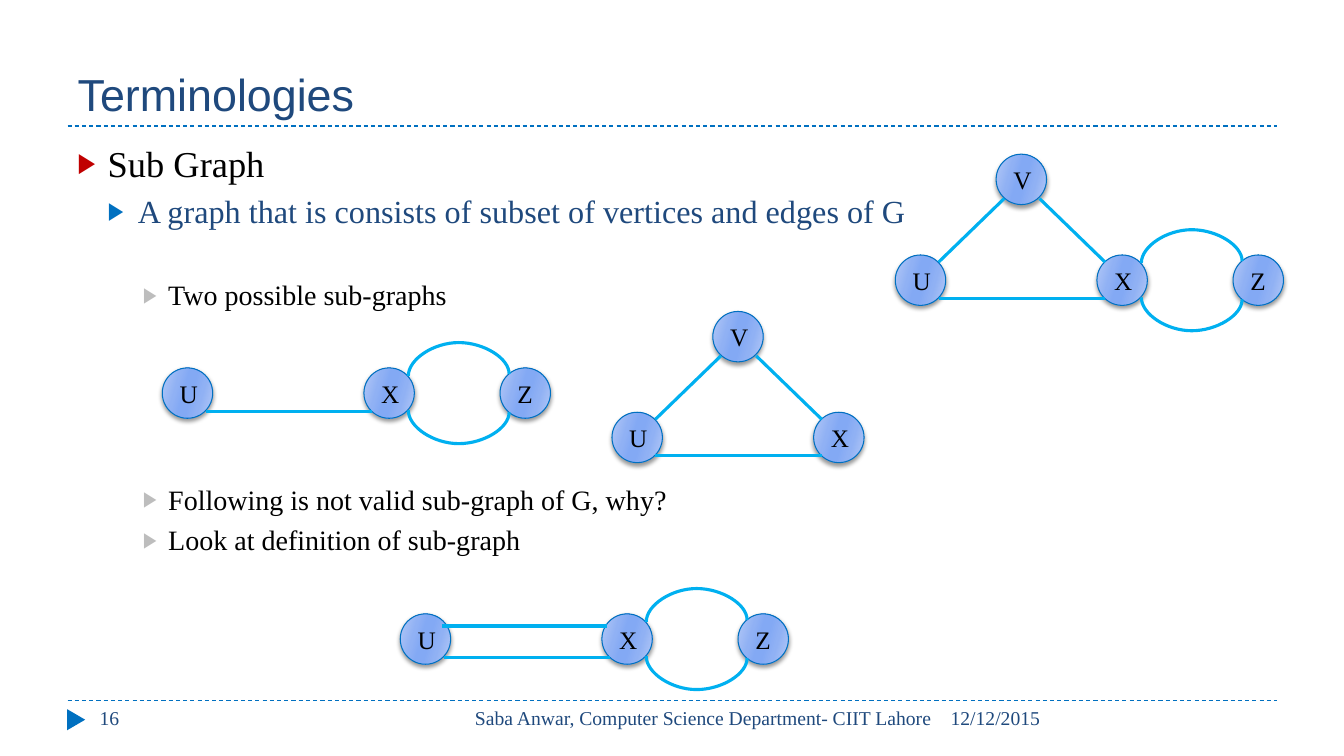
from dataclasses import dataclass

from lxml.etree import SubElement
from pptx import Presentation
from pptx.dml.color import RGBColor
from pptx.enum.dml import MSO_LINE
from pptx.enum.shapes import MSO_CONNECTOR, MSO_SHAPE
from pptx.enum.text import MSO_ANCHOR, PP_ALIGN
from pptx.oxml import parse_xml
from pptx.oxml.ns import nsdecls, qn
from pptx.util import Inches, Pt


@dataclass(frozen=True)
class Theme:
    heading_font: str = "Arial"
    body_font: str = "Times New Roman"
    navy: str = "1F497D"
    blue: str = "0070C0"
    edge: str = "00B0F0"
    red: str = "C00000"
    grey: str = "BDBDBD"
    black: str = "000000"
    node_stops: tuple = ((0, "B4C9F6"), (30, "90B1F4"), (45, "83A9F4"),
                         (55, "83A9F4"), (73, "90B1F4"), (100, "B4C9F6"))
    title_size: int = 32
    level_sizes: tuple = (26, 23, 20)
    node_size: int = 18
    footer_size: int = 14


def rgb(value):
    return RGBColor.from_string(value)


def apply_format(target, values):
    for name, value in values.items():
        setattr(target, name, value)


class GraphSlide:
    NODE = 0.5
    # Offsets from the top left corner of node U
    NODES = {"X": (2, 0), "U": (0, 0), "V": (1, -1), "Z": (3.35, 0)}
    EDGES = {"UV": (1.08, -0.56, 0.43, 0.07), "UX": (2.08, 0.43, 0.43, 0.43),
             "VX": (1.43, -0.56, 2.08, 0.07), "UX upper": (2.05, 0.12, 0.41, 0.12)}
    # Left, middle height, rotation, flips of the two edges between X and Z
    ARCS = ((2.44, 0.43, 270, ("flipH",)), (2.44, 0.07, 90, ("flipH", "flipV")))

    def __init__(self, presentation, theme):
        self.theme = theme
        self.slide = presentation.slides.add_slide(presentation.slide_layouts[5])
        self.shapes = self.slide.shapes

    def style_font(self, font, size, color, name=None):
        apply_format(font, {"size": Pt(size), "name": name or self.theme.body_font,
                            "bold": False})
        font.color.rgb = rgb(color)

    def title(self, text, left, top, width, height):
        heading = self.shapes.title
        apply_format(heading, {"left": Inches(left), "top": Inches(top),
                               "width": Inches(width), "height": Inches(height)})
        frame = heading.text_frame
        frame.text = text
        apply_format(frame, {"vertical_anchor": MSO_ANCHOR.BOTTOM, "word_wrap": True})
        line = frame.paragraphs[0]
        line.alignment = PP_ALIGN.LEFT
        self.style_font(line.font, self.theme.title_size, self.theme.navy,
                        self.theme.heading_font)

    def text_frame(self, left, top, width, height):
        frame = self.shapes.add_textbox(*map(Inches, (left, top, width, height))).text_frame
        frame.word_wrap = True
        return frame

    def footer(self, text, left, width, alignment=PP_ALIGN.LEFT):
        line = self.text_frame(left, 6.95, width, 0.4).paragraphs[0]
        line.text = text
        line.alignment = alignment
        self.style_font(line.font, self.theme.footer_size, self.theme.navy)

    def outline(self, items, left, top, width, height):
        theme = self.theme
        styles = ((0.3, 0.3, theme.red, theme.black), (0.6, 0.3, theme.blue, theme.navy),
                  (0.9, 0.25, theme.grey, theme.black))
        frame = self.text_frame(left, top, width, height)
        for index, (level, space, text) in enumerate(items):
            indent, hanging, bullet, color = styles[level]
            item = frame.add_paragraph() if index else frame.paragraphs[0]
            item.text = text
            apply_format(item, {"level": level, "space_before": Pt(space)})
            properties = item._p.get_or_add_pPr()
            properties.set("marL", str(Inches(indent)))
            properties.set("indent", str(-Inches(hanging)))
            bullet_color = SubElement(properties, qn("a:buClr"))
            SubElement(bullet_color, qn("a:srgbClr")).set("val", bullet)
            for tag, name, value in (("a:buSzPct", "val", "76000"),
                                     ("a:buFont", "typeface", theme.heading_font),
                                     ("a:buChar", "char", "▶")):
                SubElement(properties, qn(tag)).set(name, value)
            self.style_font(item.font, theme.level_sizes[level], color)

    def line(self, start, end, color, width, kind=MSO_CONNECTOR.STRAIGHT, dash=None):
        connector = self.shapes.add_connector(kind, *map(Inches, start + end))
        connector.line.color.rgb = rgb(color)
        apply_format(connector.line, {"width": Pt(width), "dash_style": dash})
        SubElement(connector._element.spPr, qn("a:effectLst"))
        return connector

    def rule(self, height):
        self.line((0.67, height), (12.67, height), self.theme.blue, 0.75, dash=MSO_LINE.DASH)

    def page_marker(self):
        marker = self.shapes.add_shape(MSO_SHAPE.ISOSCELES_TRIANGLE,
                                       *map(Inches, (0.65, 7.05, 0.21, 0.18)))
        marker.rotation = 90
        marker.shadow.inherit = False
        marker.fill.solid()
        marker.fill.fore_color.rgb = rgb(self.theme.blue)
        marker.line.fill.background()

    def node(self, label, left, top):
        theme = self.theme
        vertex = self.shapes.add_shape(MSO_SHAPE.OVAL, *map(
            Inches, (left, top, self.NODE, self.NODE)))
        vertex.line.color.rgb = rgb(theme.blue)
        vertex.line.width = Pt(0.75)
        stops = "".join(f'<a:gs pos="{place * 1000}"><a:srgbClr val="{color}"/></a:gs>'
                        for place, color in theme.node_stops)
        properties = vertex._element.spPr
        properties.find(qn("a:prstGeom")).addnext(parse_xml(
            f'<a:gradFill {nsdecls("a")} rotWithShape="1"><a:gsLst>{stops}</a:gsLst>'
            '<a:lin ang="960000" scaled="0"/></a:gradFill>'))
        properties.append(parse_xml(
            f'<a:effectLst {nsdecls("a")}><a:outerShdw blurRad="{Pt(3)}" dist="{Pt(2)}" '
            f'dir="5400000" rotWithShape="0"><a:srgbClr val="{theme.black}">'
            '<a:alpha val="40000"/></a:srgbClr></a:outerShdw></a:effectLst>'))
        frame = vertex.text_frame
        apply_format(frame, {"word_wrap": False, "vertical_anchor": MSO_ANCHOR.MIDDLE})
        frame.text = label
        frame.paragraphs[0].alignment = PP_ALIGN.LEFT
        self.style_font(frame.paragraphs[0].font, theme.node_size, theme.black)

    def arc(self, left, middle, rotation, flips):
        span, rise, bulge = 1, 0.02, 0.33
        x, y = left + (span - rise) / 2, middle - span / 2
        curve = self.line((x, y), (x + rise, y + span), self.theme.edge, 2.25,
                          MSO_CONNECTOR.CURVE)
        properties = curve._element.spPr
        frame = properties.find(qn("a:xfrm"))
        frame.set("rot", str(rotation * 60000))
        for flip in flips:
            frame.set(flip, "1")
        guide = SubElement(properties.find(qn("a:prstGeom")).find(qn("a:avLst")), qn("a:gd"))
        guide.set("name", "adj1")
        guide.set("fmla", f"val {round(bulge / rise * 100000)}")

    def graph(self, left, top, vertices, edges):
        for label, (dx, dy) in self.NODES.items():
            if label in vertices:
                self.node(label, left + dx, top + dy)
        for edge in edges:
            x1, y1, x2, y2 = self.EDGES[edge]
            self.line((left + x1, top + y1), (left + x2, top + y2), self.theme.edge, 2.25)
        if "Z" in vertices:
            for dx, dy, rotation, flips in self.ARCS:
                self.arc(left + dx, top + dy, rotation, flips)


def main():
    presentation = Presentation()
    apply_format(presentation, {"slide_width": Inches(13.33), "slide_height": Inches(7.5)})
    page = GraphSlide(presentation, Theme())

    # Frame, title and footer
    for height in (6.95, 1.25):
        page.rule(height)
    page.page_marker()
    page.title("Terminologies", 0.67, 0.17, 12, 1.08)
    page.footer("12/12/2015", 9.33, 3.34)
    page.footer("Saba Anwar, Computer Science Department- CIIT Lahore", 4.23, 5.11,
                PP_ALIGN.RIGHT)
    page.footer("16", 0.89, 2.89)

    # Definition and questions: level, space before, text
    page.outline(((0, 0, "Sub Graph"),
                  (1, 5, "A graph that is consists of subset of vertices and edges of G"),
                  (2, 34, "Two possible sub-graphs"),
                  (2, 122, "Following is not valid sub-graph of G, why?"),
                  (2, 5, "Look at definition of sub-graph")), 0.67, 1.35, 12, 5.4)

    # Graph G, its two sub-graphs and the invalid one
    page.graph(8.88, 2.53, "UVXZ", ("UV", "UX", "VX"))
    page.graph(1.61, 3.65, "UXZ", ("UX",))
    page.graph(6.07, 4.09, "UVX", ("UV", "UX", "VX"))
    page.graph(3.97, 6.09, "UXZ", ("UX", "UX upper"))

    presentation.save("out.pptx")


if __name__ == "__main__":
    main()
